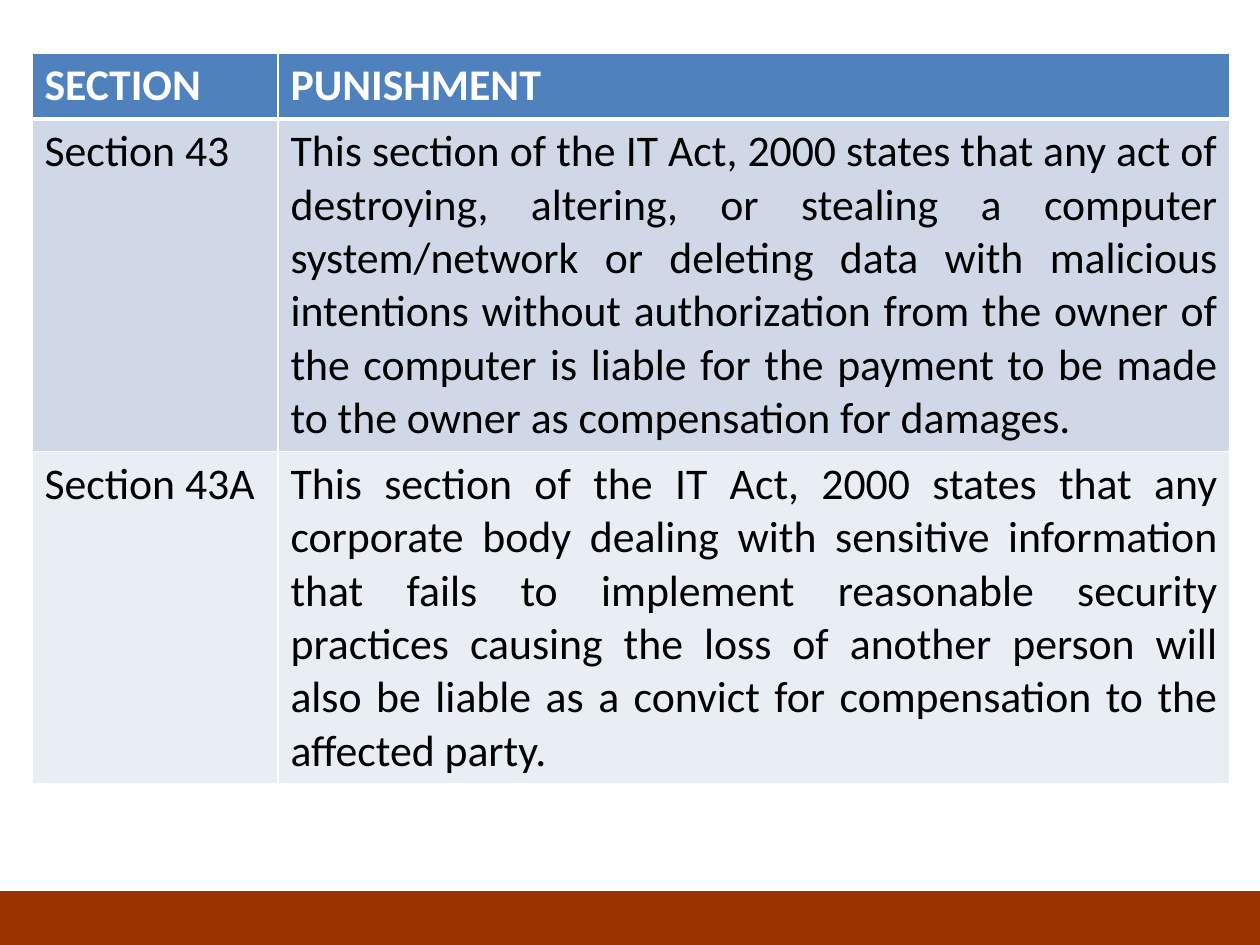
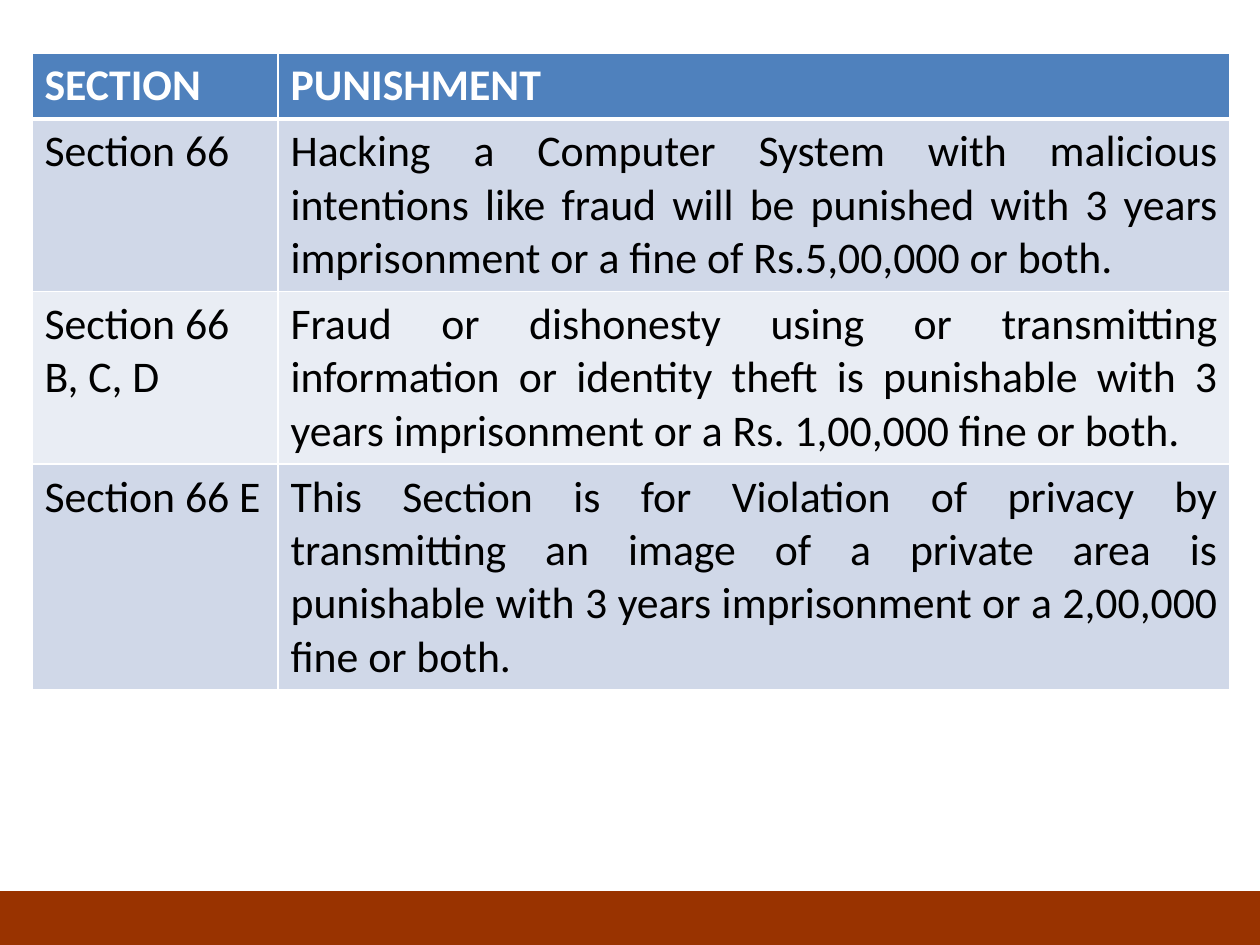
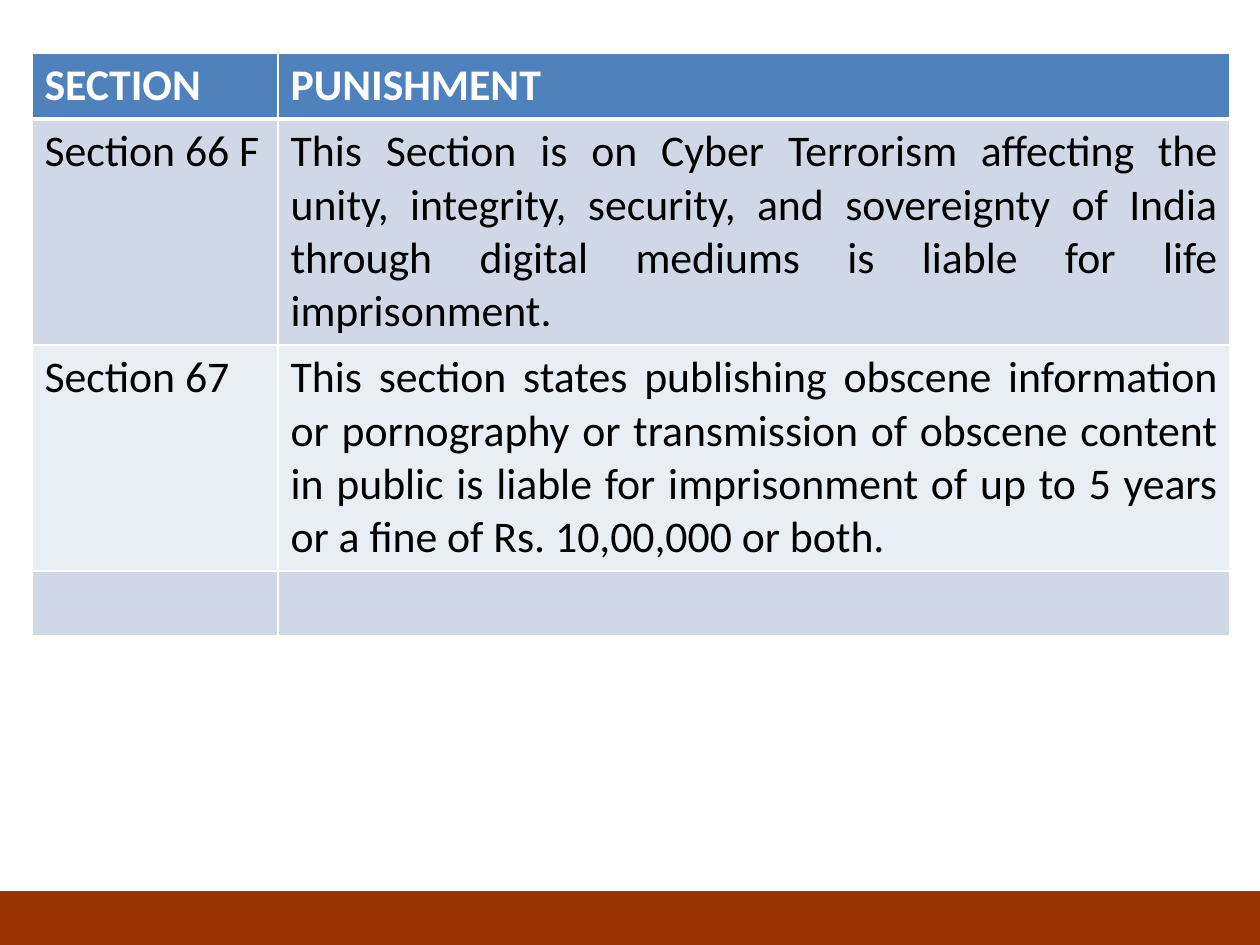
from pptx import Presentation
from pptx import util as u
from pptx.dml.color import RGBColor
from pptx.enum import shapes, text
from pptx.oxml import ns
from lxml import etree

PX_PER_INCH = 126
SLIDE_WIDTH, SLIDE_HEIGHT = 1260, 945
TABLE_LEFT, TABLE_TOP = 32, 53
COLUMN_WIDTHS = (246, 952)
ROW_HEIGHT = 65
BAND_TOP = 892

WHITE, BLACK = "FFFFFF", "000000"
HEADER_FILL = "4F81BD"
ROW_FILLS = ("D0D8E8", "E9EDF4")
BAND_COLOR = "993300"
FONT_NAME, FONT_SIZE = "Calibri", 25
THIN, THICK = 1, 3

HEADINGS = ("SECTION", "PUNISHMENT")
SECTION_TABLES = [
    [
        ("Section 43", "This section of the IT Act, 2000 states that any act of destroying, altering, or stealing a computer system/network or deleting data with malicious intentions without authorization from the owner of the computer is liable for the payment to be made to the owner as compensation for damages."),
        ("Section 43A", "This section of the IT Act, 2000 states that any corporate body dealing with sensitive information that fails to implement reasonable security practices causing the loss of another person will also be liable as a convict for compensation to the affected party."),
    ],
    [
        ("Section 66", "Hacking a Computer System with malicious intentions like fraud will be punished with 3 years imprisonment or a fine of Rs.5,00,000 or both."),
        ("Section 66 B, C, D", "Fraud or dishonesty using or transmitting information or identity theft is punishable with 3 years imprisonment or a Rs. 1,00,000 fine or both."),
        ("Section 66 E", "This Section is for Violation of privacy by transmitting an image of a private area is punishable with 3 years imprisonment or a 2,00,000 fine or both."),
    ],
    [
        ("Section 66 F", "This Section is on Cyber Terrorism affecting the unity, integrity, security, and sovereignty of India through digital mediums is liable for life imprisonment."),
        ("Section 67", "This section states publishing obscene information or pornography or transmission of obscene content in public is liable for imprisonment of up to 5 years or a fine of Rs. 10,00,000 or both."),
        ("", ""),
    ],
]


def px(length):
    return u.Emu(round(length * 914400 / PX_PER_INCH))


def color(hex_value):
    return RGBColor.from_string(hex_value)


def set_borders(cell, top, bottom):
    properties = cell._tc.get_or_add_tcPr()
    for side, width in (("L", THIN), ("R", THIN), ("T", top), ("B", bottom)):
        line = etree.SubElement(properties, ns.qn(f"a:ln{side}"), w=str(u.Pt(width)))
        fill = etree.SubElement(line, ns.qn("a:solidFill"))
        etree.SubElement(fill, ns.qn("a:srgbClr"), val=WHITE)


def add_cell_text(cell, content, font_color, bold, justified):
    paragraph = cell.text_frame.paragraphs[0]
    if justified:
        paragraph.alignment = text.PP_ALIGN.JUSTIFY
    run = paragraph.add_run()
    run.text = content
    run.font.name = FONT_NAME
    run.font.size = u.Pt(FONT_SIZE)
    run.font.bold = bold
    run.font.color.rgb = color(font_color)


def add_section_table(slide, sections):
    rows = [HEADINGS, *sections]
    table = slide.shapes.add_table(
        len(rows), len(HEADINGS), px(TABLE_LEFT), px(TABLE_TOP),
        px(sum(COLUMN_WIDTHS)), px(ROW_HEIGHT * len(rows))).table
    for column, width in zip(table.columns, COLUMN_WIDTHS):
        column.width = px(width)
    for row_index, contents in enumerate(rows):
        is_header = row_index == 0
        table.rows[row_index].height = px(ROW_HEIGHT)
        row_fill = HEADER_FILL if is_header else ROW_FILLS[(row_index - 1) % 2]
        for column_index, content in enumerate(contents):
            cell = table.cell(row_index, column_index)
            set_borders(cell, THICK if row_index == 1 else THIN, THICK if is_header else THIN)
            cell.fill.solid()
            cell.fill.fore_color.rgb = color(row_fill)
            if content:
                add_cell_text(cell, content, WHITE if is_header else BLACK,
                              is_header, column_index == 1 and not is_header)


def add_footer_band(slide):
    band = slide.shapes.add_shape(
        shapes.MSO_SHAPE.RECTANGLE, 0, px(BAND_TOP), px(SLIDE_WIDTH), px(SLIDE_HEIGHT - BAND_TOP))
    band.shadow.inherit = False
    band.fill.solid()
    band.fill.fore_color.rgb = color(BAND_COLOR)
    band.line.color.rgb = color(BAND_COLOR)
    band.line.width = u.Pt(0.75)


def main():
    presentation = Presentation()
    presentation.slide_width = px(SLIDE_WIDTH)
    presentation.slide_height = px(SLIDE_HEIGHT)
    for sections in SECTION_TABLES:
        slide = presentation.slides.add_slide(presentation.slide_layouts[6])
        add_section_table(slide, sections)
        add_footer_band(slide)
    presentation.save("out.pptx")


if __name__ == "__main__":
    main()
